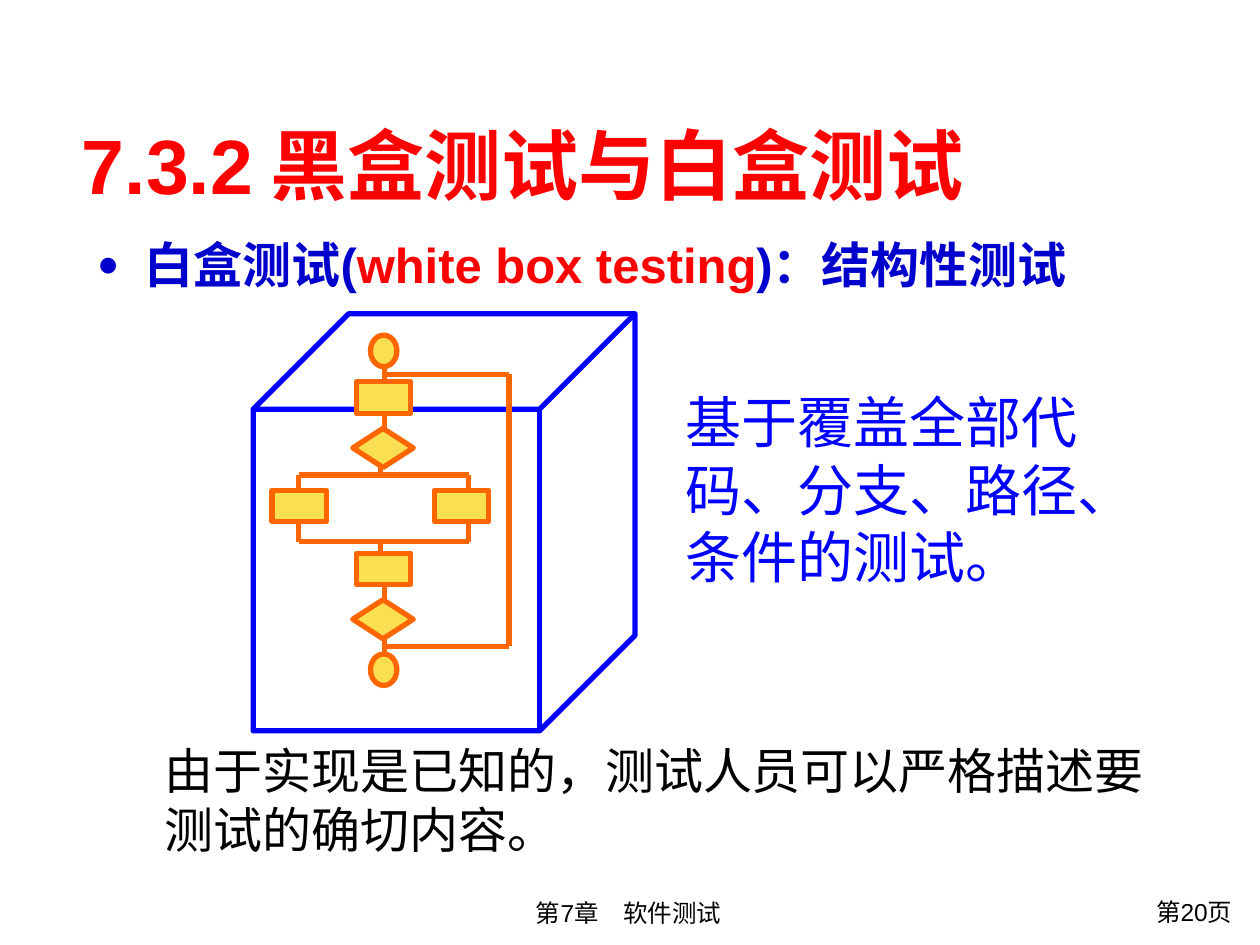
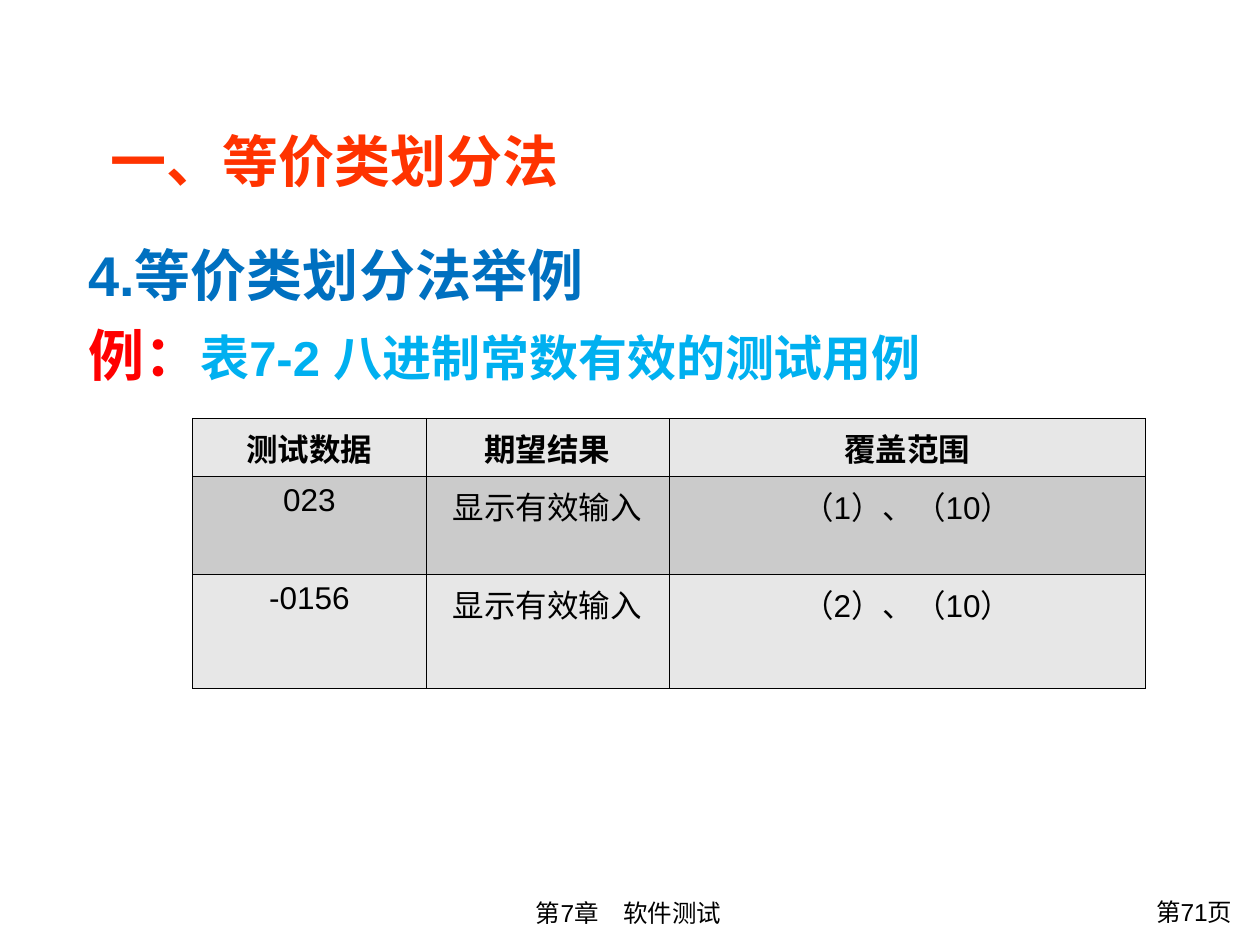
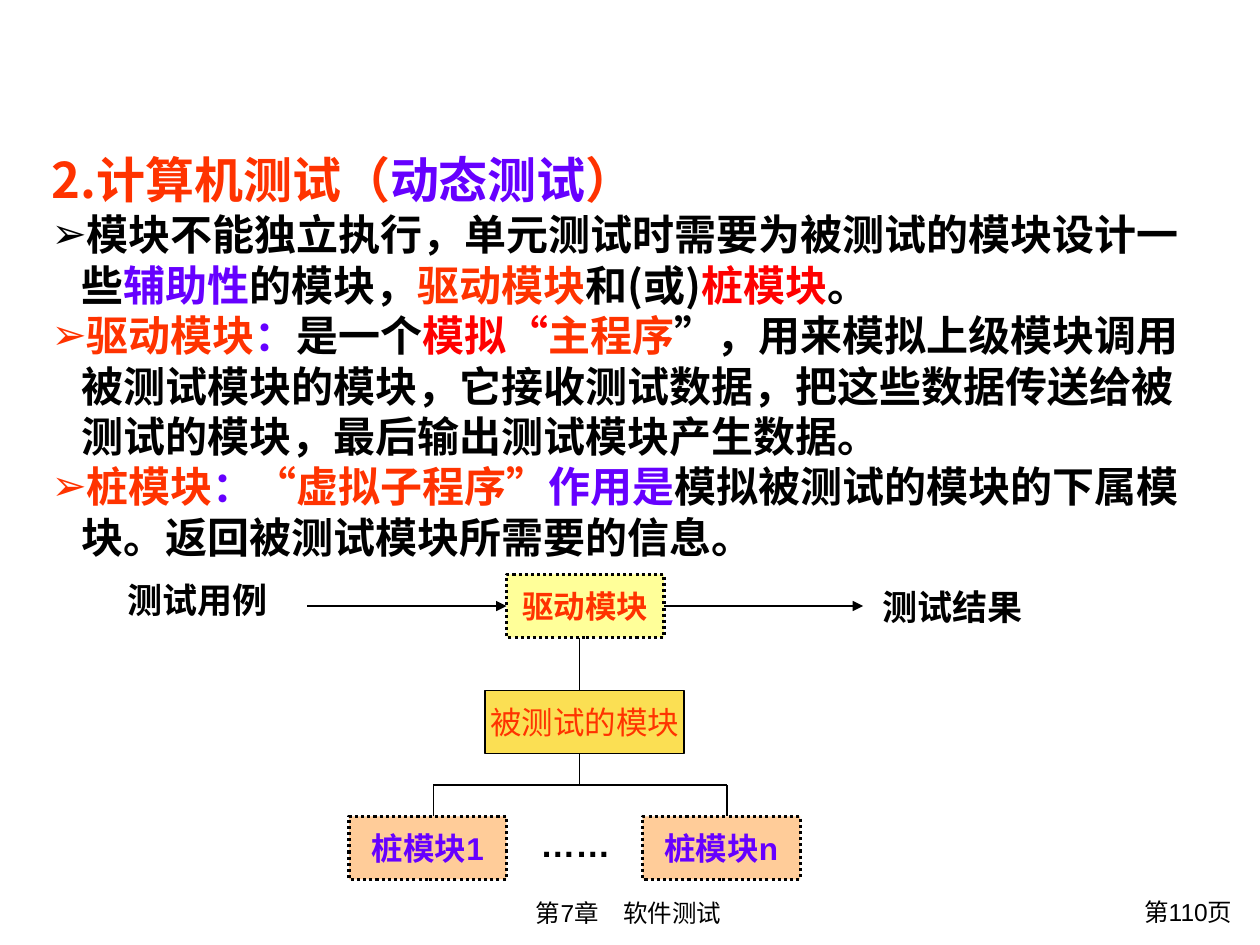
from dataclasses import dataclass
from itertools import pairwise

from lxml import etree
from pptx import Presentation
from pptx import util as u
from pptx.dml.color import RGBColor
from pptx.enum import dml, shapes, text
from pptx.oxml import ns

COLORS = {
    "black": "000000", "white": "FFFFFF", "red": "FF0000", "scarlet": "FF3300",
    "navy": "0000CC", "blue": "0000FF", "violet": "6600FF", "steel": "0070C0",
    "sky": "00B0F0", "gold": "FBDF53", "orange": "FF6600", "lemon": "FFFF99",
    "peach": "FFCC99", "light": "E7E7E7", "grey": "CBCBCB",
}
SANS, SERIF, CJK = "Arial", "Times New Roman", "Noto Sans CJK SC"
MSO = shapes.MSO_SHAPE
LEFT, CENTER, RIGHT = text.PP_ALIGN.LEFT, text.PP_ALIGN.CENTER, text.PP_ALIGN.RIGHT
TOP, MIDDLE = text.MSO_ANCHOR.TOP, text.MSO_ANCHOR.MIDDLE


@dataclass
class Span:
    text: str
    color: str = "black"
    size: float = 24
    face: str = SANS
    bold: bool = True


@dataclass
class Para:
    spans: list[Span]
    align: text.PP_ALIGN = LEFT
    before: float = 0
    spacing: float = 1
    margin: float = 0
    hang: float = 0
    bullet: str = ""
    bullet_color: str = "black"
    bullet_size: int = 100
    tab: float = 0


@dataclass
class Node:
    x: float
    y: float
    w: float
    h: float
    fill: str
    line: str
    width: float
    kind: MSO = MSO.RECTANGLE
    label: Span | None = None
    dotted: bool = False


def rgb(name: str) -> RGBColor:
    return RGBColor.from_string(COLORS[name])


def add_tag(parent, name: str, **attrs):
    return etree.SubElement(parent, ns.qn(name), {k: str(v) for k, v in attrs.items()})


def add_color(parent, color: str) -> None:
    add_tag(parent, "a:srgbClr", val=COLORS[color])


def format_para(p, para: Para) -> None:
    p.alignment = para.align
    p.space_before = u.Pt(para.before)
    p.line_spacing = para.spacing
    pPr = p._p.get_or_add_pPr()
    pPr.set("marL", str(u.Inches(para.margin)))
    pPr.set("indent", str(-u.Inches(para.hang)))
    if para.bullet:
        add_color(add_tag(pPr, "a:buClr"), para.bullet_color)
        add_tag(pPr, "a:buSzPct", val=para.bullet_size * 1000)
        add_tag(pPr, "a:buFont", typeface=SANS)
        add_tag(pPr, "a:buChar", char=para.bullet)
    else:
        add_tag(pPr, "a:buNone")
    if para.tab:
        add_tag(add_tag(pPr, "a:tabLst"), "a:tab", pos=u.Inches(para.tab), algn="l")
    for span in para.spans:
        r = p.add_run()
        r.text = span.text
        r.font.size = u.Pt(span.size)
        r.font.bold = span.bold
        r.font.color.rgb = rgb(span.color)
        r.font.name = span.face
        ea = etree.Element(ns.qn("a:ea"), {"typeface": CJK})
        r._r.rPr.find(ns.qn("a:latin")).addnext(ea)


def write(tf, paras: list[Para], anchor=TOP, wrap: bool = True) -> None:
    tf.word_wrap = wrap
    tf.auto_size = text.MSO_AUTO_SIZE.NONE
    tf.vertical_anchor = anchor
    for i, para in enumerate(paras):
        format_para(tf.add_paragraph() if i else tf.paragraphs[0], para)


def fill_placeholder(sp, x: float, y: float, w: float, h: float,
                     paras: list[Para], anchor=TOP) -> None:
    sp.left, sp.top, sp.width, sp.height = map(u.Inches, (x, y, w, h))
    write(sp.text_frame, paras, anchor)


def add_text(s, x: float, y: float, w: float, h: float, span: Span,
             align=LEFT, anchor=TOP, wrap: bool = True):
    sp = s.shapes.add_textbox(*map(u.Inches, (x, y, w, h)))
    write(sp.text_frame, [Para([span], align)], anchor, wrap)
    return sp


def add_node(s, node: Node):
    sp = s.shapes.add_shape(node.kind, *map(u.Inches, (node.x, node.y, node.w, node.h)))
    sp.shadow.inherit = False
    if node.fill:
        sp.fill.solid()
        sp.fill.fore_color.rgb = rgb(node.fill)
    else:
        sp.fill.background()
    sp.line.color.rgb = rgb(node.line)
    sp.line.width = u.Pt(node.width)
    if node.dotted:
        sp.line.dash_style = dml.MSO_LINE.ROUND_DOT
    if node.label:
        write(sp.text_frame, [Para([node.label], CENTER)], MIDDLE, wrap=False)
    return sp


def add_lines(s, points: list[tuple[float, float]], color: str, width: float,
              arrow: bool = False) -> None:
    for start, end in pairwise(points):
        c = s.shapes.add_connector(shapes.MSO_CONNECTOR.STRAIGHT,
                                   *map(u.Inches, (*start, *end)))
        c.line.color.rgb = rgb(color)
        c.line.width = u.Pt(width)
        spPr = c._element.spPr
        if arrow:
            add_tag(spPr.find(ns.qn("a:ln")), "a:tailEnd", type="triangle")
        add_tag(spPr, "a:effectLst")


def new_slide(prs, page: int):
    s = prs.slides.add_slide(prs.slide_layouts[1])
    add_text(s, 2.35, 7.08, 5.28, 0.34, Span("第7章　软件测试", size=14, bold=False), CENTER)
    add_text(s, 8.54, 7.07, 1.34, 0.37, Span(f"第{page}页", size=14, bold=False), RIGHT)
    return s


def draw_flowchart(s) -> None:
    color, width = "orange", 3
    symbols = [
        (MSO.RECTANGLE, 0.43, 0.25, [(2.83, 3.03), (2.83, 4.39), (2.16, 3.89), (3.45, 3.89)]),
        (MSO.FLOWCHART_CONNECTOR, 0.21, 0.25, [(2.94, 2.66), (2.94, 5.19)]),
        (MSO.FLOWCHART_DECISION, 0.48, 0.31, [(2.8, 3.4), (2.8, 4.76)]),
    ]
    for kind, w, h, places in symbols:
        for x, y in places:
            add_node(s, Node(x, y, w, h, "gold", color, width, kind))
    for top, bottom in [(2.9, 3.03), (3.27, 3.4), (4.63, 4.76), (5.07, 5.19)]:
        add_lines(s, [(3.05, top), (3.05, bottom)], color, width)
    left, stem, right = 2.37, 3.02, 3.72
    for end, bar, joint in [(3.89, 3.77, 3.71), (4.14, 4.3, 4.39)]:
        add_lines(s, [(left, end), (left, bar), (right, bar), (right, end)], color, width)
        add_lines(s, [(stem, joint), (stem, bar)], color, width)
    add_lines(s, [(3.07, 2.97), (4.04, 2.97), (4.04, 5.13), (3.07, 5.13)], color, width)


def white_box_slide(prs) -> None:
    s = new_slide(prs, 20)
    fill_placeholder(s.shapes.title, 0.55, 0.94, 8.43, 0.72,
                     [Para([Span("7.3.2\t黑盒测试与白盒测试", "red", 44)], tab=2.18)], MIDDLE)
    fill_placeholder(s.placeholders[1], 0.67, 1.81, 9, 0.83, [Para([
        Span("白盒测试(", "navy", 28),
        Span("white box testing", "red", 28),
        Span(")：结构性测试", "navy", 28),
    ], margin=0.38, hang=0.38, bullet="●", bullet_color="navy", bullet_size=75)])
    cube = add_node(s, Node(2.01, 2.49, 3.03, 3.31, "", "blue", 3, MSO.CUBE))
    cube.adjustments[0] = 0.25
    draw_flowchart(s)
    basis = add_text(s, 5.34, 3.03, 3.75, 1.7,
                     Span("基于覆盖全部代码、分支、路径、条件的测试。", "blue", 32, CJK, False))
    basis.fill.solid()
    basis.fill.fore_color.rgb = rgb("white")
    add_text(s, 1.21, 5.83, 8.35, 1.04,
             Span("由于实现是已知的，测试人员可以严格描述要测试的确切内容。",
                  size=28, face=SERIF, bold=False))


def format_cell(cell, label: str, fill: str, bold: bool) -> None:
    tcPr = cell._tc.get_or_add_tcPr()
    for side in ("a:lnL", "a:lnR", "a:lnT", "a:lnB"):
        ln = add_tag(tcPr, side, w=u.Pt(0.45))
        add_color(add_tag(ln, "a:solidFill"), "black")
    cell.fill.solid()
    cell.fill.fore_color.rgb = rgb(fill)
    format_para(cell.text_frame.paragraphs[0],
                Para([Span(label, size=18, bold=bold)], CENTER))


def equivalence_slide(prs) -> None:
    s = new_slide(prs, 71)
    fill_placeholder(s.shapes.title, 0.04, 0.76, 5.23, 0.75,
                     [Para([Span("一、等价类划分法", "scarlet", 32, CJK)],
                           CENTER, before=20, spacing=1.5)], MIDDLE)
    fill_placeholder(s.placeholders[1], 0.51, 1.86, 8.16, 5.47, [
        Para([Span("4.等价类划分法举例", "steel", 32)], margin=0.09, before=8),
        Para([Span("例：", "red", 32), Span("表7-2 八进制常数有效的测试用例", "sky", 28)],
             margin=0.09, before=7),
    ])
    rows = [
        ("测试数据", "期望结果", "覆盖范围"),
        ("023", "显示有效输入", "（1）、（10）"),
        ("-0156", "显示有效输入", "（2）、（10）"),
    ]
    widths, heights = (1.85, 1.93, 3.78), (0.4, 0.78, 0.9)
    frame = s.shapes.add_table(len(rows), len(widths), *map(
        u.Inches, (1.53, 3.32, sum(widths), sum(heights))))
    table = frame.table
    for column, width in zip(table.columns, widths):
        column.width = u.Inches(width)
    for i, (row, height) in enumerate(zip(rows, heights)):
        table.rows[i].height = u.Inches(height)
        for j, label in enumerate(row):
            format_cell(table.cell(i, j), label, "grey" if i % 2 else "light", i == 0)


def draw_modules(s) -> None:
    boxes = [
        (4.02, 4.56, 1.25, "lemon", "驱动模块", "scarlet", True),
        (3.85, 5.48, 1.58, "gold", "被测试的模块", "scarlet", False),
        (2.77, 6.48, 1.25, "peach", "桩模块1", "violet", True),
        (5.1, 6.48, 1.25, "peach", "桩模块n", "violet", True),
    ]
    for x, y, w, fill, label, color, helper in boxes:
        add_node(s, Node(x, y, w, 0.5, fill, "black", 1.75 if helper else 0.75,
                         label=Span(label, color, 18, bold=helper), dotted=helper))
    stem, bar = 4.6, 6.23
    for points in [
        [(stem, 5.06), (stem, 5.48)],
        [(stem, 5.98), (stem, bar)],
        [(3.44, 6.48), (3.44, bar), (5.77, bar), (5.77, 6.48)],
    ]:
        add_lines(s, points, "black", 0.75)
    for start in (2.44, 5.27):
        add_lines(s, [(start, 4.81), (start + 1.58, 4.81)], "black", 0.75, arrow=True)
    for x, y, label in [(0.78, 4.51, "测试用例"), (6.77, 4.56, "测试结果")]:
        add_text(s, x, y, 1.58, 0.5, Span(label, size=20), CENTER, MIDDLE, wrap=False)
    add_text(s, 4.19, 6.48, 0.83, 0.44, Span("……", size=20))


def dynamic_test_slide(prs) -> None:
    s = new_slide(prs, 110)
    title = s.shapes.title._element
    title.getparent().remove(title)
    heading = [("2.计算机测试（", "scarlet"), ("动态测试", "violet"), ("）", "scarlet")]
    points = [
        ("black", CJK, [
            ("模块不能独立执行，单元测试时需要为被测试的模块设计一些", "black"),
            ("辅助性", "violet"), ("的模块，", "black"), ("驱动模块", "scarlet"),
            ("和(或)", "black"), ("桩模块", "red"), ("。", "black")]),
        ("scarlet", SANS, [
            ("驱动模块", "scarlet"), ("：", "violet"), ("是一个", "black"),
            ("模拟“", "red"), ("主程序", "scarlet"),
            ("”，用来模拟上级模块调用被测试模块的模块，它接收测试数据，"
             "把这些数据传送给被测试的模块，最后输出测试模块产生数据。", "black")]),
        ("scarlet", SANS, [
            ("桩模块", "scarlet"), ("：", "violet"), ("“虚拟子程序”", "scarlet"),
            ("作用是", "violet"),
            ("模拟被测试的模块的下属模块。返回被测试模块所需要的信息。", "black")]),
    ]
    paras = [Para([Span(t, c, 28, CJK) for t, c in heading])]
    paras += [Para([Span(t, c, 24, face) for t, c in spans],
                   margin=0.24, hang=0.24, bullet="➢", bullet_color=color)
              for color, face, spans in points]
    fill_placeholder(s.placeholders[1], 0.31, 1.14, 9.3, 3.37, paras)
    draw_modules(s)


def main() -> None:
    prs = Presentation()
    prs.slide_width, prs.slide_height = u.Inches(10), u.Inches(7.5)
    white_box_slide(prs)
    equivalence_slide(prs)
    dynamic_test_slide(prs)
    prs.save("out.pptx")


if __name__ == "__main__":
    main()
